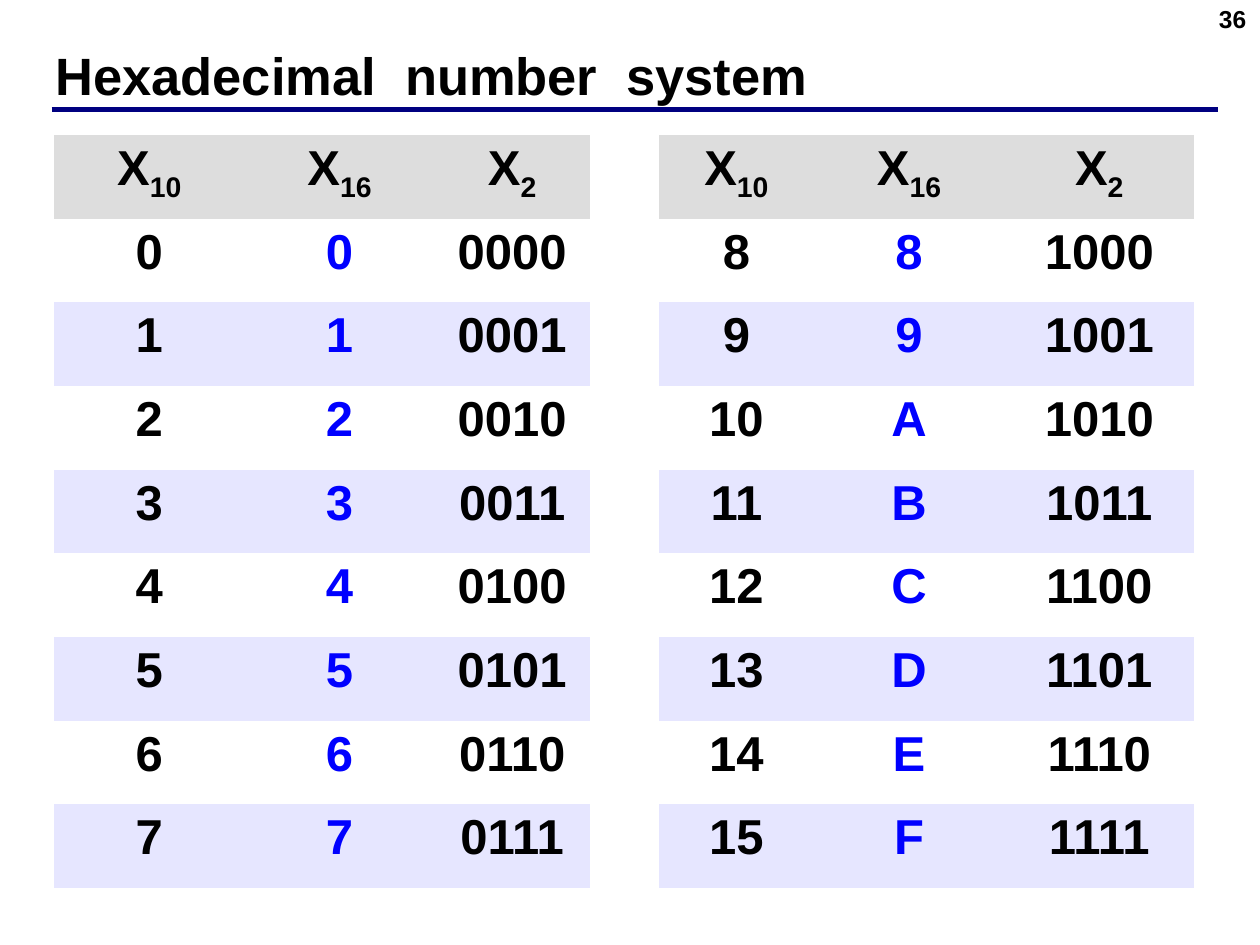
import pptx
import pptx.util
import pptx.dml.color
import pptx.enum.text
import pptx.enum.shapes
import pptx.oxml.ns
import lxml.etree

Inches, Pt = pptx.util.Inches, pptx.util.Pt
ALIGN = pptx.enum.text.PP_ALIGN
ANCHOR = pptx.enum.text.MSO_ANCHOR
HUES = {"text": "000000", "hex": "0000FF", "rule": "000080",
        "head": "DDDDDD", "band": "E6E6FF"}


def hue(name):
    return pptx.dml.color.RGBColor.from_string(HUES[name])


def style(para, size, align, color="text"):
    para.alignment = align
    for run in para.runs:
        font = run.font
        font.name, font.size, font.bold = "Arial", Pt(size), True
        font.color.rgb = hue(color)


deck = pptx.Presentation()
deck.slide_width, deck.slide_height = Inches(10), Inches(7.5)
slide = deck.slides.add_slide(deck.slide_layouts[6])
shapes = slide.shapes

# Rule under the title
rule = shapes.add_connector(pptx.enum.shapes.MSO_CONNECTOR.STRAIGHT,
                            Inches(0.41), Inches(0.87), Inches(9.67), Inches(0.87))
rule.line.color.rgb = hue("rule")
rule.line.width = Pt(3)
lxml.etree.SubElement(rule._element.spPr, pptx.oxml.ns.qn("a:effectLst"))

# Title and page number
labels = [
    ("Hexadecimal  number  system", (0.34, 0.33, 9.16, 0.52), 30, ALIGN.LEFT, ANCHOR.MIDDLE),
    ("36", (7.66, -0.02, 2.33, 0.52), 14, ALIGN.RIGHT, ANCHOR.TOP),
]
for text, area, size, align, anchor in labels:
    frame = shapes.add_textbox(*map(Inches, area)).text_frame
    frame.word_wrap = True
    frame.vertical_anchor = anchor
    frame.text = text
    style(frame.paragraphs[0], size, align)

# Table of 0 to 15, in two halves with a gap column between
widths = [1.51, 1.51, 1.23, 0.55, 1.23, 1.51, 1.51]
half = 8
grid = shapes.add_table(half + 1, len(widths), Inches(0.43), Inches(1.07),
                        Inches(sum(widths)), Inches(5.98)).table
# "No Style, No Grid" keeps the cell borders clear
grid._tbl.tblPr.find(pptx.oxml.ns.qn("a:tableStyleId")).text = \
    "{2D5ABB26-0587-4C30-8999-92F81FD0307C}"
for col, width in zip(grid.columns, widths):
    col.width = Inches(width)

for row in range(half + 1):
    for col in range(len(widths)):
        cell = grid.cell(row, col)
        if col == 3:
            cell.fill.background()
            continue
        side, kind = divmod(col, 4)
        para = cell.text_frame.paragraphs[0]
        if row == 0:
            para.add_run().text = "X"
            base = para.add_run()
            base.text = ("10", "16", "2")[kind]
            base.font._element.set("baseline", "-25000")
        else:
            num = row - 1 + side * half
            para.text = (f"{num}", f"{num:X}", f"{num:04b}")[kind]
        style(para, 28, ALIGN.CENTER, "hex" if row and kind == 1 else "text")

        # Grey heading, then every second row tinted
        if row == 0 or row % 2 == 0:
            cell.fill.solid()
            cell.fill.fore_color.rgb = hue("band" if row else "head")
        else:
            cell.fill.background()

deck.save("out.pptx")
